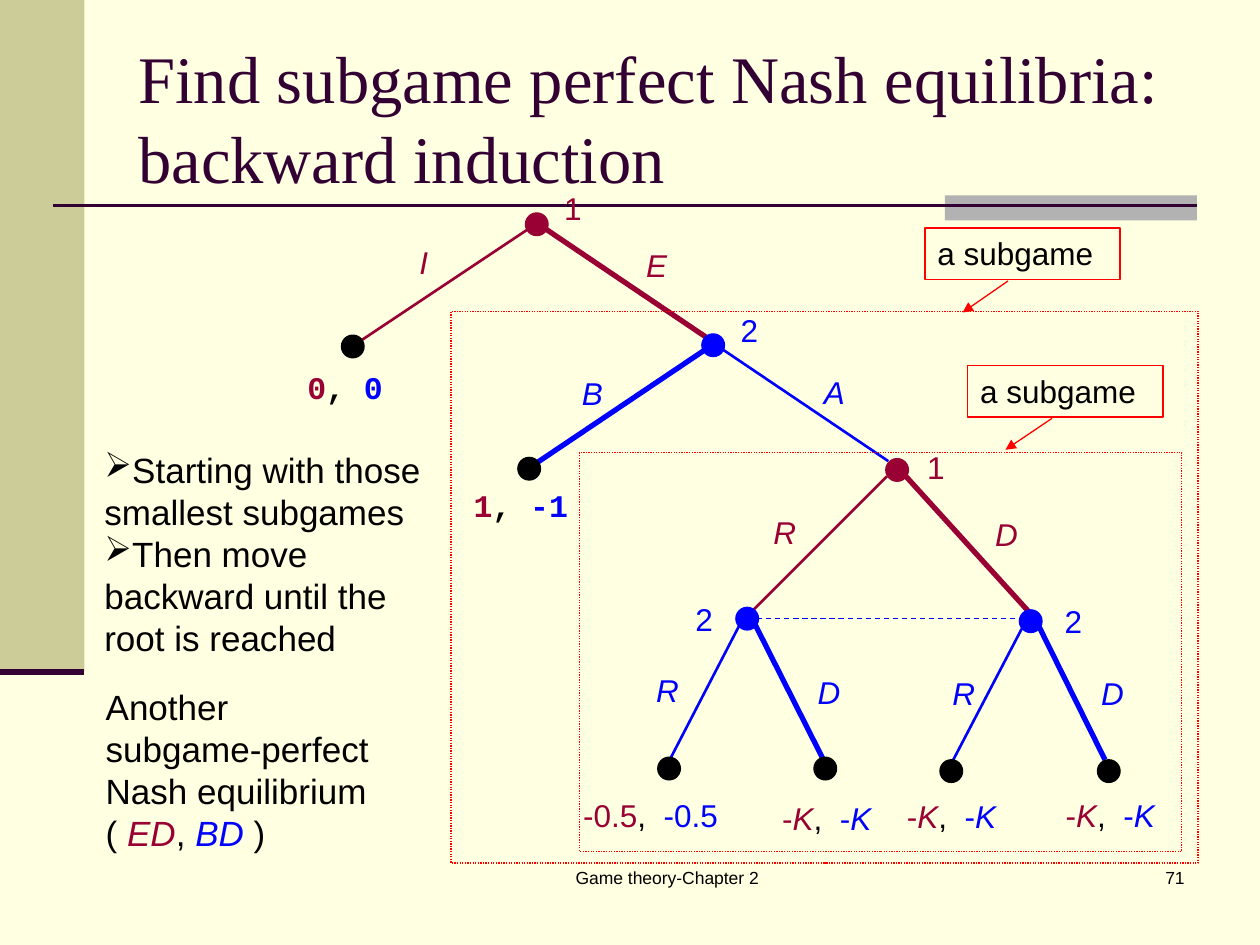
"""Build the backward induction slide with its game tree."""
from lxml.etree import SubElement
from pptx import Presentation
from pptx.dml.color import RGBColor
from pptx.enum.dml import MSO_LINE
from pptx.enum.shapes import MSO_CONNECTOR, MSO_SHAPE
from pptx.enum.text import MSO_ANCHOR, PP_ALIGN
from pptx.oxml.ns import qn
from pptx.util import Inches, Pt

COLORS = {
    "paper": "FFFFE1", "olive": "CCCC99", "gray": "B2B2B2", "plum": "330033",
    "p1": "990033", "p2": "0000FF", "ink": "000000", "red": "FF0000",
}
DOT = 0.18
TITLE = "Find subgame perfect Nash equilibria: backward induction"
STEPS = ["Starting with those smallest subgames",
         "Then move backward until the root is reached"]
RESULT = [("Another subgame-perfect Nash equilibrium", "ink", ""), ("\n", "ink", ""),
          ("( ", "ink", ""), ("ED", "p1", "i"), (", ", "ink", ""),
          ("BD", "p2", "i"), (" )", "ink", "")]

BANDS = [((0, 0, 0.67, 5.33), "olive"), ((7.5, 1.55, 2, 0.2), "gray")]
RULES = [((0.42, 1.63, 9.5, 1.63), 1.5), ((0, 5.33, 0.67, 5.33), 3.5)]
EDGES = [
    ((4.19, 1.82, 2.84, 2.72), "p1", 1.5), ((4.32, 1.81, 5.64, 2.7), "p1", 3),
    ((5.59, 2.78, 4.25, 3.68), "p2", 3), ((5.73, 2.77, 7.05, 3.66), "p2", 1.5),
    ((7.04, 3.78, 5.96, 4.86), "p1", 1.5), ((7.18, 3.77, 8.17, 4.86), "p1", 3),
    ((5.87, 4.96, 5.3, 6.06), "p2", 1.5), ((5.99, 4.95, 6.53, 6.02), "p2", 3),
    ((8.12, 4.97, 7.54, 6.08), "p2", 1.5), ((8.24, 4.96, 8.77, 6.03), "p2", 3),
]
INFO_SET = (6.01, 4.91, 8.12, 4.91)
NODES = {
    "p1": [(4.17, 1.69), (7.03, 3.64)],
    "p2": [(5.57, 2.65), (5.84, 4.82), (8.09, 4.84)],
    "ink": [(2.71, 2.66), (4.11, 3.63), (5.22, 6.01), (6.46, 6.01),
            (7.46, 6.03), (8.71, 6.03)],
}
PLAYERS = [("1", 4.38, 1.45, 0.46), ("2", 5.78, 2.42, 0.46), ("1", 7.26, 3.51, 0.41),
           ("2", 5.42, 4.71, 0.31), ("2", 8.35, 4.73, 0.31)]
MOVES = [
    ("I", "p1", 3.23, 1.88, 0.32), ("E", "p1", 5.03, 1.9, 0.51),
    ("B", "p2", 4.52, 2.92, 0.43), ("A", "p2", 6.44, 2.91, 0.54),
    ("R", "p1", 6.04, 4.02, 0.37), ("D", "p1", 7.8, 4.04, 0.4),
    ("R", "p2", 5.11, 5.28, 0.47), ("D", "p2", 6.39, 5.29, 0.41),
    ("R", "p2", 7.46, 5.3, 0.37), ("D", "p2", 8.64, 5.3, 0.41),
]
EARLY_PAYOFFS = [("0", "0", 2.34, 2.87, 0.81), ("1", "-1", 3.66, 3.81, 0.99)]
K_PAYOFFS = [(6.11, 6.29), (7.1, 6.28), (8.36, 6.27)]
K_RUNS = [("-", "p1", ""), ("K", "p1", "i"), (",  ", "ink", ""),
          ("-", "p2", ""), ("K", "p2", "i")]
HALF_RUNS = [("-0.5", "p1", ""), (",  ", "ink", ""), ("-0.5", "p2", "")]
FRAMES = [(4.6, 3.59, 4.78, 3.17), (3.58, 2.47, 5.93, 4.38)]
CALLOUTS = [((7.68, 2.9), (8.35, 3.32, 7.98, 3.57)),
            ((7.34, 1.81), (8, 2.23, 7.64, 2.48))]


def rgb(name):
    return RGBColor.from_string(COLORS[name])


def add_line(s, ends, color, width, dash=None, arrow=False):
    c = s.shapes.add_connector(MSO_CONNECTOR.STRAIGHT, *map(Inches, ends))
    c.line.color.rgb = rgb(color)
    c.line.width = Pt(width)
    if dash:
        c.line.dash_style = dash
    if arrow:
        SubElement(c.line._get_or_add_ln(), qn("a:tailEnd"), type="triangle")
    SubElement(c._element.spPr, qn("a:effectLst"))


def add_box(s, kind, at, fill=None, line=None, dash=None):
    sp = s.shapes.add_shape(kind, *map(Inches, at))
    sp.shadow.inherit = False
    if fill:
        sp.fill.solid()
        sp.fill.fore_color.rgb = rgb(fill)
    else:
        sp.fill.background()
    if line:
        sp.line.color.rgb = rgb(line)
        sp.line.width = Pt(0.75)
        if dash:
            sp.line.dash_style = dash
    else:
        sp.line.fill.background()
    return sp


def write(sp, paragraphs, size=18, font="Arial", align=PP_ALIGN.LEFT,
          anchor=MSO_ANCHOR.TOP, spacing=None, bullet=None):
    tf = sp.text_frame
    tf.word_wrap = True
    tf.vertical_anchor = anchor
    for i, runs in enumerate(paragraphs):
        p = tf.paragraphs[0] if i == 0 else tf.add_paragraph()
        p.alignment = align
        if spacing:
            p.line_spacing = Pt(spacing)
        if bullet:
            SubElement(p._p.get_or_add_pPr(), qn("a:buChar"), char=bullet)
        for text, color, style in runs:
            if text == "\n":
                p.add_line_break()
                continue
            r = p.add_run()
            r.text = text
            r.font.name = font
            r.font.size = Pt(size)
            r.font.bold = "b" in style
            r.font.italic = "i" in style
            r.font.color.rgb = rgb(color)


def add_text(s, at, paragraphs, **options):
    write(s.shapes.add_textbox(*map(Inches, at)), paragraphs, **options)


def add_label(s, x, y, w, runs, **options):
    add_text(s, (x, y, w, 0.4), [runs], **options)


def draw_frame(s):
    for at, color in BANDS:
        add_box(s, MSO_SHAPE.RECTANGLE, at, fill=color)
    for ends, width in RULES:
        add_line(s, ends, "plum", width)
    add_text(s, (3.67, 6.83, 3.25, 0.5), [[("Game theory-Chapter 2", "ink", "")]],
             size=10, align=PP_ALIGN.CENTER)
    add_text(s, (7.42, 6.83, 2.08, 0.5), [[("71", "ink", "")]],
             size=10, align=PP_ALIGN.RIGHT)
    add_text(s, (1, 0.3, 8.5, 1.25), [[(TITLE, "plum", "")]], size=38,
             font="Times New Roman", anchor=MSO_ANCHOR.MIDDLE, spacing=45.6)


def draw_tree(s):
    for ends, color, width in EDGES:
        add_line(s, ends, color, width)
    add_line(s, INFO_SET, "p2", 0.75, dash=MSO_LINE.DASH)
    for color, places in NODES.items():
        for x, y in places:
            add_box(s, MSO_SHAPE.OVAL, (x, y, DOT, DOT), fill=color, line=color)
    for player, x, y, w in PLAYERS:
        add_label(s, x, y, w, [(player, "p" + player, "")])
    for move, color, x, y, w in MOVES:
        add_label(s, x, y, w, [(move, color, "i")])
    for first, second, x, y, w in EARLY_PAYOFFS:
        runs = [(first, "p1", "b"), (", ", "ink", "b"), (second, "p2", "b")]
        add_label(s, x, y, w, runs, font="Courier New")
    add_label(s, 4.53, 6.27, 1.29, HALF_RUNS)
    for x, y in K_PAYOFFS:
        add_label(s, x, y, 0.96, K_RUNS)


def draw_subgames(s):
    for at in FRAMES:
        add_box(s, MSO_SHAPE.RECTANGLE, at, line="red", dash=MSO_LINE.ROUND_DOT)
    for (x, y), ends in CALLOUTS:
        sp = add_box(s, MSO_SHAPE.RECTANGLE, (x, y, 1.55, 0.41), line="red")
        write(sp, [[("a subgame", "ink", "")]])
        add_line(s, ends, "red", 0.75, arrow=True)


def main():
    prs = Presentation()
    prs.slide_width, prs.slide_height = Inches(10), Inches(7.5)
    s = prs.slides.add_slide(prs.slide_layouts[6])
    s.background.fill.solid()
    s.background.fill.fore_color.rgb = rgb("paper")
    draw_frame(s)
    draw_tree(s)
    draw_subgames(s)
    add_text(s, (0.73, 3.51, 2.76, 1.77), [[(step, "ink", "")] for step in STEPS],
             size=20, spacing=24, bullet="➢")
    add_text(s, (0.74, 5.39, 2.48, 1.43), [RESULT], size=20, spacing=24)
    prs.save("out.pptx")


if __name__ == "__main__":
    main()
